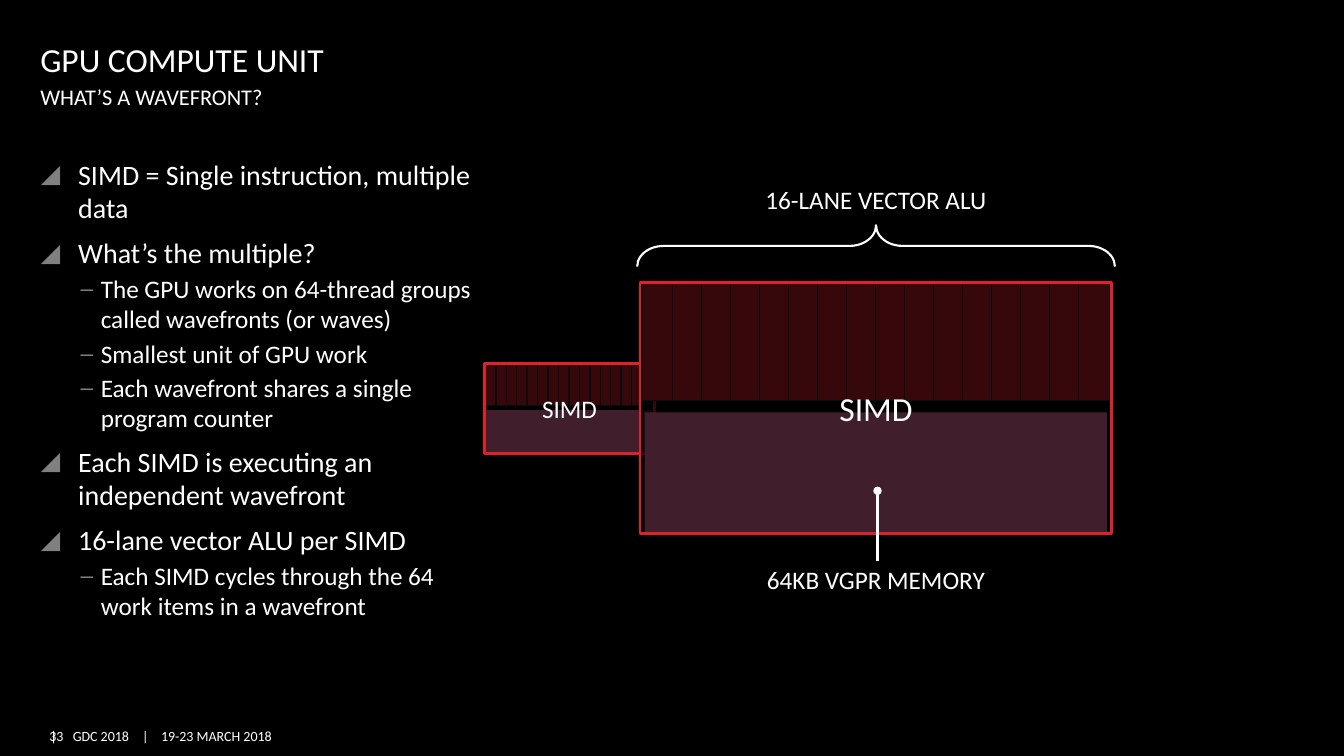
import pptx
import pptx.util
import pptx.dml.color
import pptx.enum.text
import pptx.enum.shapes
import pptx.oxml
import pptx.oxml.ns

Pt = pptx.util.Pt
RGBColor = pptx.dml.color.RGBColor
Align = pptx.enum.text.PP_ALIGN
Anchor = pptx.enum.text.MSO_ANCHOR
Preset = pptx.enum.shapes.MSO_SHAPE

BLACK = RGBColor(0x00, 0x00, 0x00)
WHITE = RGBColor(0xFF, 0xFF, 0xFF)
RED = RGBColor(0xDE, 0x21, 0x2C)
PINK = RGBColor(0xFF, 0x7B, 0xAC)
CHARCOAL = RGBColor(0x33, 0x33, 0x33)
NAMESPACE = pptx.oxml.ns.nsdecls("a")


def write(box, text, size, frame_format, para_format):
    frame = box.text_frame
    for name, value in frame_format.items():
        setattr(frame, name, value)
    para = frame.paragraphs[0]
    for name, value in para_format.items():
        setattr(para, name, value)
    span = para.add_run()
    span.text = text
    for name, value in {"name": "Calibri", "size": Pt(size)}.items():
        setattr(span.font, name, value)
    span.font.color.rgb = WHITE


def draw_line(shapes, start, end, color, width):
    line = shapes.add_connector(
        pptx.enum.shapes.MSO_CONNECTOR.STRAIGHT, *[Pt(v) for v in start + end])
    line.line.color.rgb = color
    line.line.width = Pt(width)
    line._element.spPr.append(pptx.oxml.parse_xml(f"<a:effectLst {NAMESPACE}/>"))
    return line


deck = pptx.Presentation()
deck.slide_width, deck.slide_height = Pt(960), Pt(540)
page = deck.slides.add_slide(deck.slide_layouts[5])
page.background.fill.solid()
page.background.fill.fore_color.rgb = BLACK

flush = {"margin_left": 0, "margin_right": 0, "word_wrap": True,
         "auto_size": pptx.enum.text.MSO_AUTO_SIZE.NONE}
footer = {**flush, "margin_top": Pt(3), "margin_bottom": Pt(3),
          "vertical_anchor": Anchor.MIDDLE}

title = page.shapes.title
title.left, title.top, title.width, title.height = Pt(28.8), Pt(19.4), Pt(787), Pt(37.4)
write(title, "GPU COMPUTE UNIT", 24,
      {**flush, "margin_top": Pt(3.6), "margin_bottom": 0,
       "vertical_anchor": Anchor.BOTTOM}, {"alignment": Align.LEFT})

subtitle = page.shapes.add_textbox(Pt(28.8), Pt(59.4), Pt(820.8), Pt(22.3))
write(subtitle, "WHAT’S A WAVEFRONT?", 16,
      {**flush, "margin_top": 0, "margin_bottom": 0}, {})

number = page.shapes.add_textbox(0, Pt(516.6), Pt(45.4), Pt(18.7))
write(number, "33", 10, footer, {"alignment": Align.RIGHT})

event = page.shapes.add_textbox(Pt(36), Pt(516.6), Pt(170), Pt(18.7))
stops = "".join(f'<a:tab pos="{Pt(stop)}" algn="l"/>' for stop in (16, 65.5, 79))
event.text_frame.paragraphs[0]._p.get_or_add_pPr().append(
    pptx.oxml.parse_xml(f"<a:tabLst {NAMESPACE}>{stops}</a:tabLst>"))
write(event, "|\tGDC 2018\t|\t19-23 MARCH 2018", 10, footer, {})

points = [
    (0, "SIMD = Single instruction, multiple data"),
    (0, "What’s the multiple?"),
    (1, "The GPU works on 64-thread groups called wavefronts (or waves)"),
    (1, "Smallest unit of GPU work"),
    (1, "Each wavefront shares a single program counter"),
    (0, "Each SIMD is executing an independent wavefront"),
    (0, "16-lane vector ALU per SIMD"),
    (1, "Each SIMD cycles through the 64 work items in a wavefront"),
]
levels = [
    {"bullet": "◢", "size": 20, "before": 8, "margin": 27, "indent": -26.6},
    {"bullet": "‒", "size": 18, "before": 3, "margin": 43.2, "indent": -14.4},
]
body = page.shapes.add_textbox(Pt(28.8), Pt(108.7), Pt(308.9), Pt(388.8))
for name, value in flush.items():
    setattr(body.text_frame, name, value)
for index, (depth, text) in enumerate(points):
    level = levels[depth]
    para = body.text_frame.paragraphs[0] if index == 0 else body.text_frame.add_paragraph()
    properties = para._p.get_or_add_pPr()
    properties.set("marL", str(Pt(level["margin"])))
    properties.set("indent", str(Pt(level["indent"])))
    for element in ('<a:buClr {}><a:srgbClr val="808080"/></a:buClr>',
                    '<a:buSzPct {} val="90000"/>',
                    '<a:buFont {} typeface="Arial"/>',
                    '<a:buChar {} char="' + level["bullet"] + '"/>'):
        properties.append(pptx.oxml.parse_xml(element.format(NAMESPACE)))
    para.level = depth
    para.space_before = Pt(level["before"] if index else 0)
    span = para.add_run()
    span.text = text
    for name, value in {"name": "Calibri", "size": Pt(level["size"])}.items():
        setattr(span.font, name, value)
    span.font.color.rgb = WHITE

simd_units = [
    {"alu": (346.3, 259.6, 119.5, 30.2), "memory": (347, 293, 118.8, 31),
     "frame": (346.3, 259.6, 121, 64.1), "first": 354.2, "pitch": 7.46, "size": 18},
    {"alu": (458.6, 200.9, 334.1, 85), "memory": (460.4, 294.5, 330.5, 85.7),
     "frame": (457.2, 201.6, 337, 179.3), "first": 480.2, "pitch": 20.74, "size": 24},
]
for unit in simd_units:
    group = page.shapes.add_group_shape()
    parts = {}
    for part, fill, edge, width in (("alu", RED, CHARCOAL, 1),
                                    ("memory", PINK, None, 0),
                                    ("frame", BLACK, RED, 2)):
        shape = group.shapes.add_shape(Preset.RECTANGLE, *[Pt(v) for v in unit[part]])
        shape.shadow.inherit = False
        shape.fill.solid()
        shape.fill.fore_color.rgb = fill
        if edge is None:
            shape.line.fill.background()
        else:
            shape.line.color.rgb = edge
            shape.line.width = Pt(width)
        parts[part] = shape
        if part == "alu":
            top, height = unit["alu"][1], unit["alu"][3]
            for lane in range(15):
                x = unit["first"] + lane * unit["pitch"]
                draw_line(group.shapes, (x, top), (x, top + height), CHARCOAL, 1)
    color = parts["frame"].fill._xPr.find(".//" + pptx.oxml.ns.qn("a:srgbClr"))
    color.append(pptx.oxml.parse_xml(f'<a:alpha {NAMESPACE} val="75000"/>'))
    write(parts["frame"], "SIMD", unit["size"], {"vertical_anchor": Anchor.MIDDLE},
          {"alignment": Align.CENTER})

for text, top in (("16-LANE VECTOR ALU", 128.2), ("64KB VGPR MEMORY", 399.6)):
    label = page.shapes.add_textbox(Pt(515.2), Pt(top), Pt(221), Pt(28.8))
    write(label, text, 18, {"word_wrap": True},
          {"alignment": Align.CENTER, "space_after": Pt(6)})

pointer = draw_line(page.shapes, (626.8, 401), (626.8, 350.6), WHITE, 1.5)
pointer.line._ln.append(pptx.oxml.parse_xml(f'<a:tailEnd {NAMESPACE} type="oval"/>'))

brace = page.shapes.add_shape(Preset.LEFT_BRACE, Pt(611), Pt(5), Pt(29.5), Pt(341.3))
brace.rotation = 90
brace.adjustments[0] = 0.64
brace.shadow.inherit = False
brace.fill.background()
brace.line.color.rgb = WHITE
brace.line.width = Pt(1.5)

deck.save("out.pptx")
